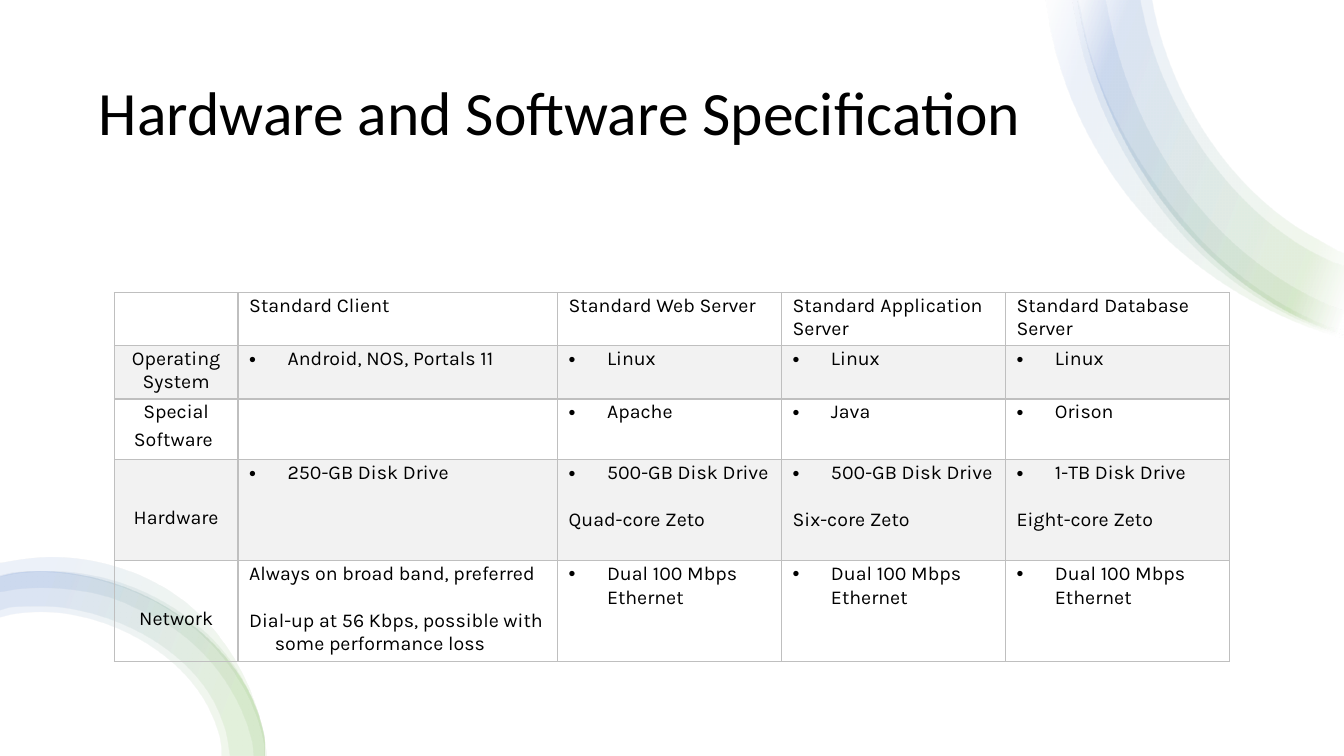
from lxml.etree import SubElement
from pptx import Presentation
from pptx.dml.color import RGBColor
from pptx.enum.shapes import MSO_SHAPE as Preset
from pptx.enum.text import MSO_ANCHOR as Anchor, PP_ALIGN as Align
from pptx.oxml import parse_xml
from pptx.oxml.ns import nsdecls, qn
from pptx.util import Pt


def color(hex_text):
    return RGBColor.from_string(hex_text)


def add_ribbon(page, steps, gradient):
    """Draw a closed band: a step of 2 numbers is a corner, one of 6 a Bezier curve."""
    points = [(Pt(x), Pt(y)) for step in steps for x, y in zip(step[::2], step[1::2])]
    builder = page.shapes.build_freeform(*points[0])
    builder.add_line_segments(points[1:], close=True)
    ribbon = builder.convert_to_shape()
    ribbon.shadow.inherit = False
    ribbon.line.fill.background()
    ribbon._element.spPr.find(qn("a:custGeom")).addnext(parse_xml(gradient))
    lines = iter(list(ribbon._element.iter(qn("a:lnTo"))))
    for step in steps[1:]:
        parts = [next(lines) for _ in step[::2]]
        if len(parts) == 3:
            curve = parse_xml(f'<a:cubicBezTo {nsdecls("a")}/>')
            parts[0].addprevious(curve)
            for part in parts:
                curve.append(part[0])
                part.getparent().remove(part)


deck = Presentation()
deck.slide_width, deck.slide_height = Pt(960), Pt(540)
page = deck.slides.add_slide(deck.slide_layouts[5])

backdrop = page.shapes.add_shape(Preset.RECTANGLE, Pt(0), Pt(0), Pt(960), Pt(540))
backdrop.shadow.inherit = False
backdrop.fill.solid()
backdrop.fill.fore_color.rgb = color("FFFFFF")
backdrop.line.fill.background()

# Title, brought in front of the backdrop
title = page.shapes.title
backdrop._element.addnext(title._element)
title.left, title.top, title.width, title.height = Pt(63.4), Pt(36), Pt(833), Pt(93.6)
frame = title.text_frame
frame.word_wrap = True
frame.vertical_anchor = Anchor.MIDDLE
para = frame.paragraphs[0]
para.alignment = Align.LEFT
para.line_spacing = 0.9
span = para.add_run()
span.text = "Hardware and Software Specification"
span.font.name, span.font.size = "Calibri", Pt(44)
span.font.color.rgb = color("000000")

# Ribbons: each band is an outer edge and the inner edge running back
top_outer = [(960, 239), (942, 233), (855, 199, 787, 105, 770, 3), (768, -6)]
low_outer = [(189, 540), (189, 529), (179, 462, 104, 408, 29, 408),
             (20, 408, 11, 409, 3, 411), (0, 412)]
top_bands = [
    [(960, 241), (958, 241), (914, 229, 873, 206, 839, 176), (794, 136, 761, 78, 750, 19),
     (746, -6), (769, -6), (773, 14), (783, 69, 813, 121, 850, 163),
     (876, 193, 911, 218, 948, 233), (960, 236)],
    [*top_outer, (822, -6), (822, -4), (833, 66, 878, 138, 941, 171), (955, 179), (960, 181)],
    [(960, 240), (943, 235), (906, 221, 872, 198, 845, 168), (807, 125, 778, 70, 769, 14),
     (765, -6), (789, -6), (792, 9), (802, 61, 825, 112, 860, 152),
     (884, 180, 915, 203, 949, 218), (960, 222)],
    [*top_outer, (813, -6), (814, -3), (825, 69, 873, 145, 937, 180), (951, 187), (960, 190)],
]
low_bands = [
    [*low_outer, (0, 441), (8, 439), (14, 438, 22, 437, 29, 437),
     (74, 437, 126, 463, 148, 504), (153, 514, 157, 524, 158, 534), (158, 540)],
    [*low_outer, (0, 436), (7, 434), (14, 433, 22, 433, 29, 433),
     (75, 433, 131, 460, 153, 502), (158, 512, 162, 523, 163, 533), (164, 540)],
    [(189, 540), (189, 530), (184, 500, 168, 471, 146, 451), (116, 424, 77, 408, 36, 408),
     (27, 408, 18, 408, 9, 409), (0, 411), (0, 423), (11, 421),
     (37, 418, 72, 421, 96, 434), (111, 440, 126, 449, 138, 460),
     (157, 477, 174, 503, 180, 531), (181, 540)],
    [(190, 540), (189, 533), (186, 507, 171, 466, 141, 438), (115, 413, 76, 398, 37, 398),
     (24, 398, 12, 400, 1, 402), (0, 402), (0, 412), (10, 410),
     (49, 404, 106, 418, 144, 454), (164, 472, 184, 503, 188, 533), (188, 540)],
]
for bands, tints in [(top_bands, ["FFFFFF", "70AD47", "4472C4", "FFFFFF"]),
                     (low_bands, ["70AD47", "70AD47", "4472C4", "4472C4"])]:
    stops = "".join(
        f'<a:gs pos="{place * 1000}"><a:srgbClr val="{tint}"><a:alpha val="10000"/>'
        "</a:srgbClr></a:gs>" for place, tint in zip([2, 16, 85, 100], tints))
    gradient = (f'<a:gradFill {nsdecls("a")} rotWithShape="1"><a:gsLst>{stops}</a:gsLst>'
                f'<a:lin ang="{200 * 60000}" scaled="0"/></a:gradFill>')
    for steps in bands:
        add_ribbon(page, steps, gradient)

# Table: one list of paragraphs per cell, "•" marks a bullet
rows = [
    [[], ["Standard Client"], ["Standard Web Server"], ["Standard Application Server"],
     ["Standard Database Server"]],
    [["Operating System"], ["•Android, NOS, Portals 11"], ["•Linux"], ["•Linux"], ["•Linux"]],
    [["Special Software"], [], ["•Apache"], ["•Java"], ["•Orison"]],
    [["Hardware"], ["•250-GB Disk Drive"], ["•500-GB Disk Drive", "Quad-core Zeto"],
     ["•500-GB Disk Drive", "Six-core Zeto"], ["•1-TB Disk Drive", "Eight-core Zeto"]],
    [["Network"],
     ["Always on broad band, preferred",
      "Dial-up at 56 Kbps, possible with some performance loss"],
     *[["•Dual 100 Mbps Ethernet"]] * 3],
]
widths = [88.3, 228.2, 160, 160, 160]
heights = [38, 38, 43.4, 72, 72]
table = page.shapes.add_table(len(rows), len(widths), Pt(81.7), Pt(209),
                              Pt(sum(widths)), Pt(sum(heights))).table
table.first_row = table.horz_banding = False
for column, width in zip(table.columns, widths):
    column.width = Pt(width)
for table_row, height in zip(table.rows, heights):
    table_row.height = Pt(height)

for r, row in enumerate(rows):
    for c, texts in enumerate(row):
        cell = table.cell(r, c)
        cell.margin_left = cell.margin_right = Pt(8)
        cell.margin_top = Pt(33.4 if c == 0 and r > 2 else 1 if c and r else 1.4)
        cell.margin_bottom = Pt(0)
        properties = cell._tc.get_or_add_tcPr()
        for side in ("lnL", "lnR", "lnT", "lnB"):
            border = SubElement(properties, qn(f"a:{side}"), w=str(Pt(1)))
            SubElement(SubElement(border, qn("a:solidFill")), qn("a:srgbClr"), val="BFBFBF")
        if r % 2:
            cell.fill.solid()
            cell.fill.fore_color.rgb = color("F2F2F2")
        else:
            cell.fill.background()
        for i, text in enumerate(texts):
            para = cell.text_frame.paragraphs[0] if i == 0 else cell.text_frame.add_paragraph()
            if i > 0:
                para.space_before = Pt(16.4)
            if c == 0:
                para.alignment = Align.CENTER
            elif r > 0:
                bulleted = text.startswith("•")
                indent = Pt(27.4 if bulleted else 18.4)
                settings = para._p.get_or_add_pPr()
                settings.set("marL", str(indent))
                settings.set("indent", str(-indent))
                para.line_spacing = 1.03
                if bulleted:
                    SubElement(settings, qn("a:buFont"), typeface="Arial")
                    SubElement(settings, qn("a:buChar"), char="•")
            span = para.add_run()
            span.text = text.removeprefix("•")
            span.font.name, span.font.size = "Karla", Pt(14)
            span.font.color.rgb = color("000000")
            if text == "Special Software":
                tail = para.add_run()
                tail.text = " "
                tail.font.name, tail.font.size = "Cambria", Pt(18)

deck.save("out.pptx")
